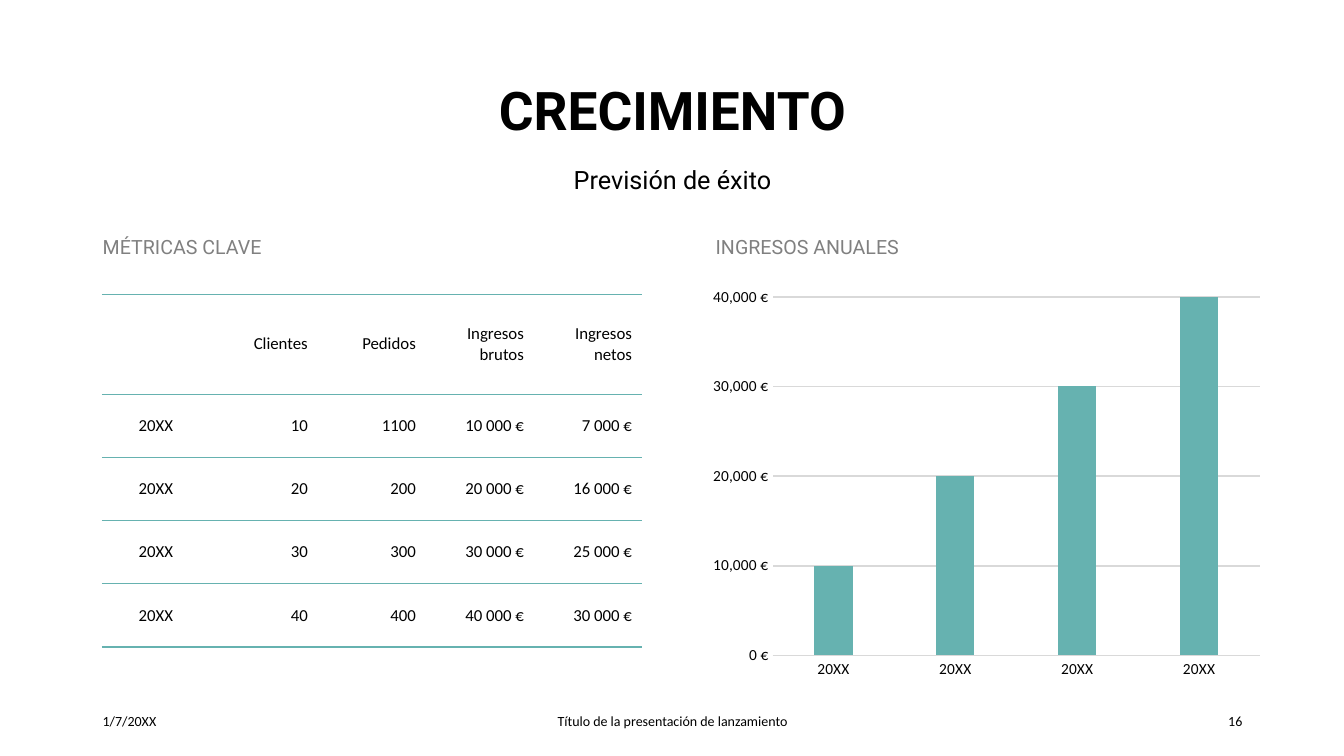
from lxml.etree import SubElement
from pptx import Presentation
from pptx.chart.data import CategoryChartData
from pptx.dml.color import RGBColor
from pptx.enum.chart import XL_CHART_TYPE, XL_TICK_MARK
from pptx.enum.text import MSO_ANCHOR, PP_ALIGN
from pptx.oxml.ns import qn
from pptx.util import Inches, Pt

WIDTH, HEIGHT = 13.33, 7.5
TEAL, BLACK, GRAY, GRID = "66B2B0", "000000", "808080", "D9D9D9"
LEFT, CENTER, RIGHT = PP_ALIGN.LEFT, PP_ALIGN.CENTER, PP_ALIGN.RIGHT
HEADER_SHARE = 0.99 / 3.5
METRICS = [
    ["", "Clientes", "Pedidos", "Ingresos brutos", "Ingresos netos"],
    ["20XX", "10", "1100", "10 000 €", "7 000 €"],
    ["20XX", "20", "200", "20 000 €", "16 000 €"],
    ["20XX", "30", "300", "30 000 €", "25 000 €"],
    ["20XX", "40", "400", "40 000 €", "30 000 €"],
]
REVENUE = [10000, 20000, 30000, 40000]


def color(code):
    """Turn a hex string into a colour."""
    return RGBColor.from_string(code)


def set_font(font, size, face="Calibri", code=BLACK, bold=False):
    """Set face, size, weight and colour of a font."""
    font.name, font.size, font.bold = face, Pt(size), bold
    font.color.rgb = color(code)


def add_label(slide, box, text, size, face="Calibri", code=BLACK, bold=False,
              align=LEFT, anchor=MSO_ANCHOR.MIDDLE, spacing=1.0):
    """Place one line of text in a box."""
    frame = slide.shapes.add_textbox(*map(Inches, box)).text_frame
    frame.word_wrap = True
    frame.vertical_anchor = anchor
    paragraph = frame.paragraphs[0]
    paragraph.text = text
    paragraph.alignment = align
    paragraph.line_spacing = spacing
    set_font(paragraph.font, size, face, code, bold)


def add_heading(slide, box):
    """Place the title and its subtitle, centred in the box."""
    left, top, width, height = box
    add_label(slide, (left, top, width, height * 0.6), "CRECIMIENTO", 38,
              "Roboto", bold=True, align=CENTER, spacing=0.9)
    add_label(slide, (left, top + height * 0.635, width, height * 0.365),
              "Previsión de éxito", 18, "Roboto", align=CENTER,
              anchor=MSO_ANCHOR.TOP, spacing=Pt(26))


def add_section_label(slide, box, text):
    """Place a gray section label at the bottom of the box."""
    add_label(slide, box, text, 14, "Roboto", GRAY,
              anchor=MSO_ANCHOR.BOTTOM, spacing=0.9)


def set_borders(cell):
    """Rule a cell above and below, with open sides."""
    properties = cell._tc.get_or_add_tcPr()
    for side in ("lnL", "lnR", "lnT", "lnB"):
        line = SubElement(properties, qn(f"a:{side}"), w=str(Pt(1)))
        if side in ("lnL", "lnR"):
            SubElement(line, qn("a:noFill"))
        else:
            fill = SubElement(line, qn("a:solidFill"))
            SubElement(fill, qn("a:srgbClr"), val=TEAL)


def add_metrics(slide, box):
    """Place the table of key metrics."""
    rows, columns = len(METRICS), len(METRICS[0])
    table = slide.shapes.add_table(rows, columns, *map(Inches, box)).table
    table.first_row = table.horz_banding = False
    header = box[3] * HEADER_SHARE
    for index, row in enumerate(table.rows):
        row.height = Inches((box[3] - header) / (rows - 1) if index else header)
    for row, values in enumerate(METRICS):
        for column, value in enumerate(values):
            cell = table.cell(row, column)
            set_borders(cell)
            cell.fill.background()
            cell.vertical_anchor = MSO_ANCHOR.MIDDLE
            paragraph = cell.text_frame.paragraphs[0]
            paragraph.text = value
            paragraph.alignment = RIGHT if column else CENTER
            set_font(paragraph.font, 12)


def set_line(line, code, width=1.25):
    """Set colour and width of a line."""
    line.color.rgb = color(code)
    line.width = Pt(width)


def add_revenue(slide, box):
    """Place the column chart of yearly revenue."""
    data = CategoryChartData()
    data.categories = ["20XX"] * len(REVENUE)
    data.add_series("Series 1", REVENUE)
    chart = slide.shapes.add_chart(
        XL_CHART_TYPE.COLUMN_CLUSTERED, *map(Inches, box), data).chart
    chart.has_legend = chart.has_title = False
    set_font(chart.font, 10)

    plot = chart.plots[0]
    plot.gap_width, plot.overlap, plot.vary_by_categories = 219, -27, False
    columns = plot.series[0].format.fill
    columns.solid()
    columns.fore_color.rgb = color(TEAL)

    years, euros = chart.category_axis, chart.value_axis
    for axis in (years, euros):
        axis.major_tick_mark = axis.minor_tick_mark = XL_TICK_MARK.NONE
        set_font(axis.tick_labels.font, 11)
    set_line(years.format.line, GRID)
    euros.format.line.fill.background()
    set_line(euros.major_gridlines.format.line, GRID)
    euros.minimum_scale, euros.maximum_scale, euros.major_unit = 0, 40000, 10000
    euros.tick_labels.number_format = '#,##0\\ "€"'
    euros.tick_labels.number_format_is_linked = False


def add_footer(slide, box):
    """Place date, presentation title and page number along the box."""
    left, top, width, height = box
    side, middle = 3, 4.5
    parts = [
        ("1/7/20XX", left, side, LEFT),
        ("Título de la presentación de lanzamiento",
         left + (width - middle) / 2, middle, CENTER),
        ("16", left + width - side, side, RIGHT),
    ]
    for text, start, span, align in parts:
        add_label(slide, (start, top, span, height), text, 10, align=align)


def main():
    """Build and save the growth slide."""
    deck = Presentation()
    deck.slide_width, deck.slide_height = Inches(WIDTH), Inches(HEIGHT)
    slide = deck.slides.add_slide(deck.slide_layouts[6])
    add_heading(slide, (1.72, 0.77, 9.9, 1.18))
    add_section_label(slide, (0.92, 2.19, 5.64, 0.43), "MÉTRICAS CLAVE")
    add_metrics(slide, (1.01, 2.92, 5.36, 3.5))
    add_section_label(slide, (7, 2.19, 4.74, 0.43), "INGRESOS ANUALES")
    add_revenue(slide, (6.96, 2.77, 5.65, 4.04))
    add_footer(slide, (0.92, 6.95, 11.5, 0.4))
    deck.save("out.pptx")


if __name__ == "__main__":
    main()
